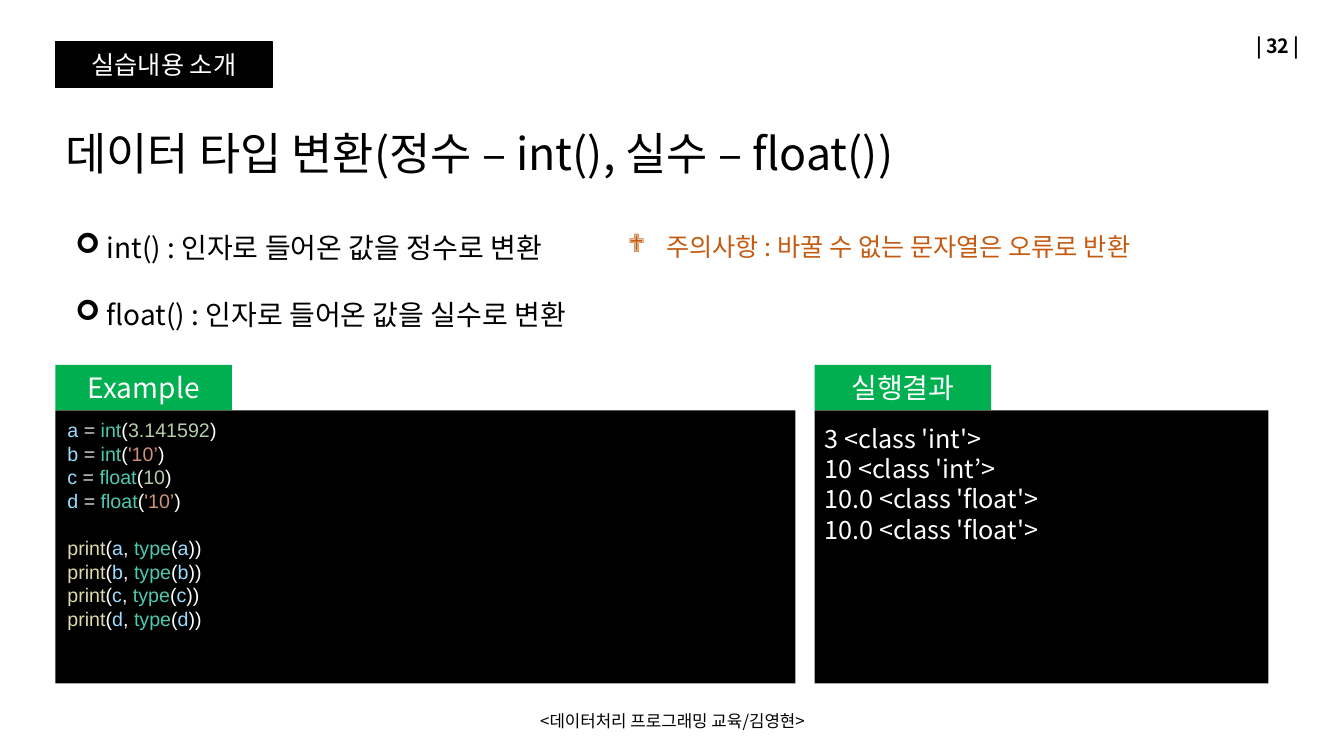
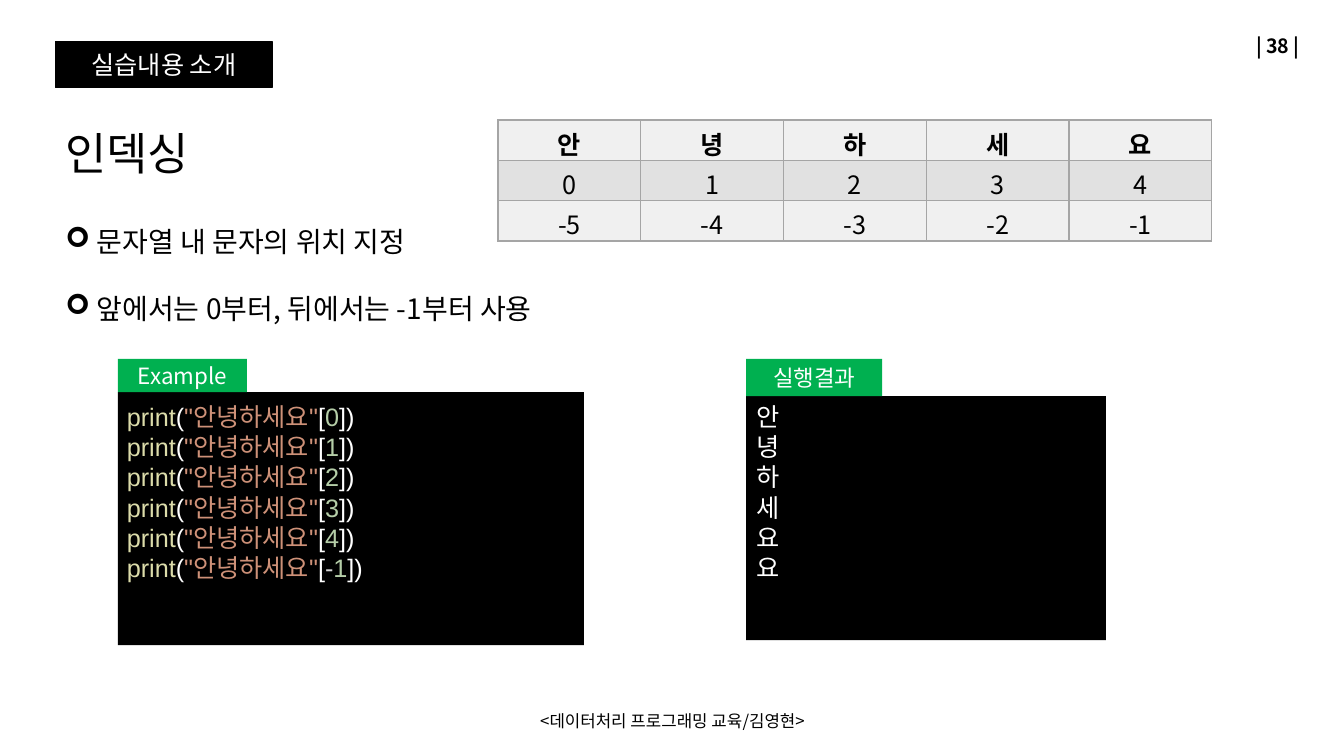
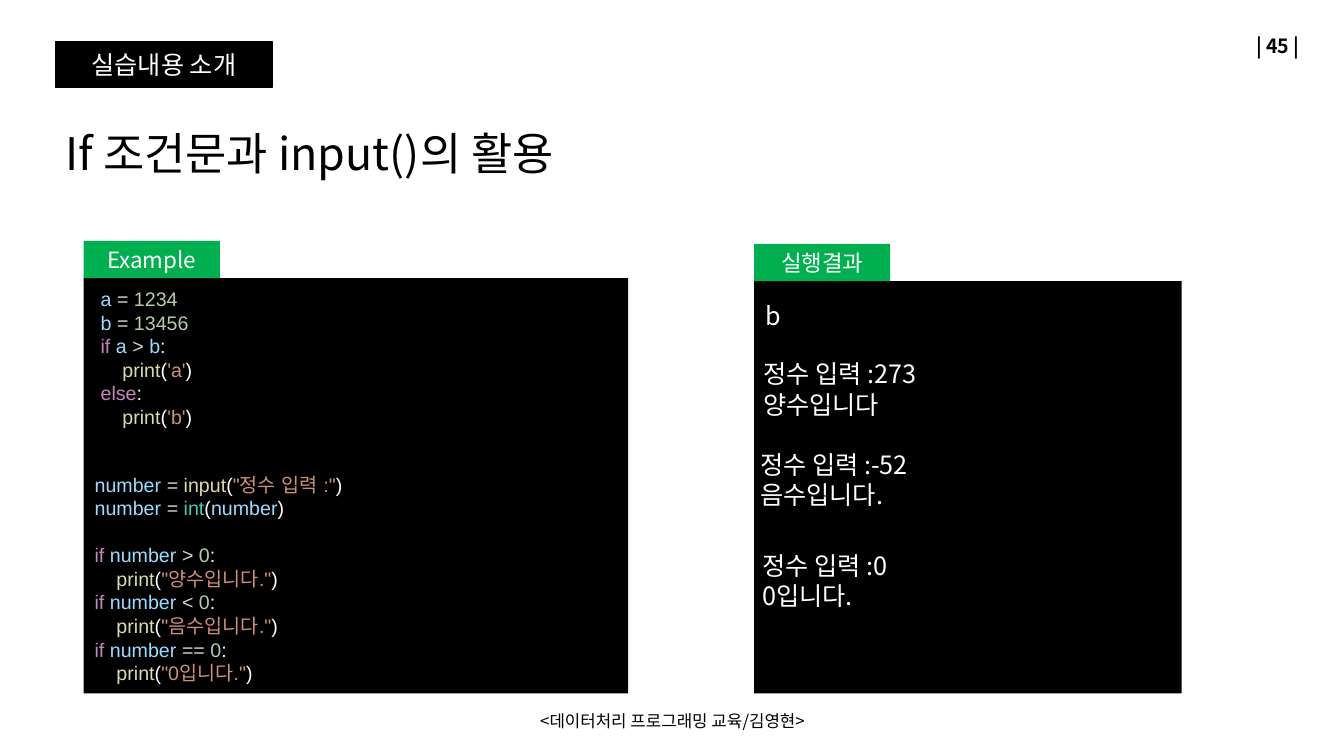
from lxml import etree
from pptx import Presentation
from pptx.dml.color import RGBColor
from pptx.enum.shapes import MSO_SHAPE
from pptx.enum.text import MSO_ANCHOR, PP_ALIGN
from pptx.oxml.ns import qn
from pptx.util import Inches, Pt

RECT = MSO_SHAPE.RECTANGLE
TOP, MIDDLE, BOTTOM = MSO_ANCHOR.TOP, MSO_ANCHOR.MIDDLE, MSO_ANCHOR.BOTTOM
LEFT, CENTER, RIGHT = PP_ALIGN.LEFT, PP_ALIGN.CENTER, PP_ALIGN.RIGHT

SANS, MONO = "Noto Sans CJK KR", "Arial"
BLACK, WHITE, GREEN, RUST = "000000", "FFFFFF", "00B050", "C55A11"
LIGHT, SHADE, GRID = "F0F0F0", "E1E1E1", "A5A5A5"
LEADING = 1.2

# Code colours
NAME, NUMBER, STRING, SIGN = "9CDCFE", "B5CEA8", "CE9178", "D4D4D4"
WORDS = {"print": "DCDCAA", "input": "DCDCAA",
         "int": "4EC9B0", "float": "4EC9B0", "type": "4EC9B0",
         "if": "C586C0", "else": "C586C0"}


def color(value):
    return RGBColor.from_string(value)


def style(font, size, ink, face=SANS, bold=False):
    font.size, font.name, font.bold = Pt(size), face, bold
    font.color.rgb = color(ink)
    props = font._element
    for tag in ("a:ea", "a:cs"):
        etree.SubElement(props, qn(tag)).set("typeface", face)


def bullet(para, mark, indent):
    props = para._p.get_or_add_pPr()
    props.set("marL", str(Inches(indent)))
    props.set("indent", str(-Inches(indent)))
    etree.SubElement(props, qn("a:buFont")).set("typeface", "Wingdings")
    etree.SubElement(props, qn("a:buChar")).set("char", mark)


def label(slide, box, lines, size, ink=BLACK, align=LEFT, anchor=TOP,
          bold=False, mark=None, indent=0):
    frame = slide.shapes.add_textbox(*map(Inches, box)).text_frame
    frame.word_wrap = True
    frame.vertical_anchor = anchor
    frame.text = "\n".join(lines)
    for para in frame.paragraphs:
        para.alignment = align
        if mark:
            para.line_spacing = 2.0
            bullet(para, mark, indent)
        for run in para.runs:
            style(run.font, size, ink, bold=bold)


def block(slide, box, fill, text="", size=18):
    shape = slide.shapes.add_shape(RECT, *map(Inches, box))
    shape.shadow.inherit = False
    shape.fill.solid()
    shape.fill.fore_color.rgb = color(fill)
    shape.line.fill.background()
    if text:
        frame = shape.text_frame
        frame.text = text
        frame.vertical_anchor = MIDDLE
        para = frame.paragraphs[0]
        para.alignment = CENTER
        style(para.runs[0].font, size, WHITE)
    return shape


# Code colouring
def kind(char):
    if char.isalnum() or char in "._":
        return "word"
    return "sign" if char in "=<>-" else "other"


def lex(line):
    """Split a line of code into (text, colour) pairs."""
    start = 0
    while start < len(line):
        first, end = line[start], start + 1
        if first in "'\"":
            while line[end] not in "'\"’":
                end += 1
            end += 1
            ink = STRING
        else:
            group = kind(first)
            while (end < len(line) and kind(line[end]) == group
                   and line[end] not in "'\""):
                end += 1
            word = line[start:end]
            if group == "word":
                ink = NUMBER if first.isdigit() else WORDS.get(word, NAME)
            else:
                ink = SIGN if group == "sign" else WHITE
        while end < len(line) and line[end] == " ":
            end += 1
        yield line[start:end], ink
        start = end


def code(slide, box, source, size):
    frame = slide.shapes.add_textbox(*map(Inches, box)).text_frame
    frame.word_wrap = True
    para, gap = frame.paragraphs[0], 0
    for row, line in enumerate(source.splitlines()):
        if not line:
            gap += size * LEADING
            continue
        if row:
            para = frame.add_paragraph()
        if gap:
            para.space_before, gap = Pt(gap), 0
        for text, ink in lex(line):
            run = para.add_run()
            run.text = text
            style(run.font, size, ink, MONO)


# Regions
def panel(slide, box, tab, title, size):
    """Black screen with a green tab (width, height) on its top left."""
    left, top = box[:2]
    wide, high = tab
    block(slide, box, BLACK)
    block(slide, (left, top - high, wide, high), GREEN, title, size)


def grid(slide, box, rows):
    left, top, wide, high = map(Inches, box)
    frame = slide.shapes.add_table(len(rows), len(rows[0]), left, top, wide, high)
    for y, row in enumerate(rows):
        for x, text in enumerate(row):
            cell = frame.table.cell(y, x)
            cell.text = text
            cell.vertical_anchor = MIDDLE
            para = cell.text_frame.paragraphs[0]
            para.alignment = CENTER
            style(para.runs[0].font, 18, BLACK, bold=y == 0)
            props = cell._tc.get_or_add_tcPr()
            for side in ("a:lnL", "a:lnR", "a:lnT", "a:lnB"):
                edge = etree.SubElement(props, qn(side), w=str(Pt(1)))
                fill = etree.SubElement(edge, qn("a:solidFill"))
                etree.SubElement(fill, qn("a:srgbClr"), val=GRID)
            cell.fill.solid()
            cell.fill.fore_color.rgb = color(SHADE if y % 2 else LIGHT)


def base(deck, number, title):
    """Blank slide with page number, section badge, title and footer."""
    slide = deck.slides.add_slide(deck.slide_layouts[6])
    label(slide, (9.99, 0.25, 3, 0.4), [f"| {number} |"], 14,
          align=RIGHT, anchor=MIDDLE, bold=True)
    badge = block(slide, (0.55, 0.41, 2.15, 0.46), BLACK, "실습내용 소개")
    badge.line.color.rgb = color(BLACK)
    badge.line.width = Pt(1)
    label(slide, (0.55, 1.12, 9.73, 0.71), [title], 32, anchor=BOTTOM)
    label(slide, (4.42, 6.95, 4.5, 0.4), ["<데이터처리 프로그래밍 교육/김영현>"],
          12, align=CENTER, anchor=MIDDLE)
    return slide


# Slides
CAST = """\
a = int(3.141592)
b = int('10’)
c = float(10)
d = float('10’)

print(a, type(a))
print(b, type(b))
print(c, type(c))
print(d, type(d))"""

INDEX = "\n".join(f'print("안녕하세요"[{spot}])' for spot in (0, 1, 2, 3, 4, -1))

BRANCH = """\
a = 1234
b = 13456
if a > b:
    print('a')
else:
    print('b')"""

INPUT = """\
number = input("정수 입력 :")
number = int(number)

if number > 0:
    print("양수입니다.")
if number < 0:
    print("음수입니다.")
if number == 0:
    print("0입니다.")"""


def casting(deck):
    slide = base(deck, 32, "데이터 타입 변환(정수 – int(), 실수 – float())")
    label(slide, (0.65, 1.9, 6.67, 1.97),
          ["int() : 인자로 들어온 값을 정수로 변환",
           "float() : 인자로 들어온 값을 실수로 변환"], 20, mark="➢", indent=0.31)
    label(slide, (6.13, 1.95, 6.67, 0.63),
          ["주의사항 : 바꿀 수 없는 문자열은 오류로 반환"], 18, RUST,
          mark="❖", indent=0.38)
    tab = (1.75, 0.45)
    panel(slide, (0.55, 4.07, 7.34, 2.71), tab, "Example", 20)
    panel(slide, (8.08, 4.07, 4.5, 2.71), tab, "실행결과", 20)
    code(slide, (0.57, 4.1, 6.67, 2.22), CAST, 14)
    label(slide, (8.08, 4.15, 4.21, 1.92),
          ["3 <class 'int'>", "10 <class 'int’>",
           "10.0 <class 'float'>", "10.0 <class 'float'>"], 18, WHITE)


def indexing(deck):
    slide = base(deck, 38, "인덱싱")
    label(slide, (0.55, 1.84, 9.9, 1.36),
          ["문자열 내 문자의 위치 지정", "앞에서는 0부터, 뒤에서는 -1부터 사용"],
          20, mark="➢", indent=0.31)
    panel(slide, (1.17, 3.89, 4.62, 2.51), (1.28, 0.33), "Example", 16)
    panel(slide, (7.4, 3.93, 3.57, 2.42), (1.35, 0.37), "실행결과", 16)
    code(slide, (1.16, 3.93, 4.5, 1.92), INDEX, 18)
    label(slide, (7.41, 3.93, 3.14, 1.92), "안녕하세요요", 18, WHITE)
    word = "안녕하세요"
    count = len(word)
    grid(slide, (4.94, 1.19, 7.08, 1.2),
         [word, [str(n) for n in range(count)],
          [str(n - count) for n in range(count)]])


def branching(deck):
    slide = base(deck, 45, "If 조건문과 input()의 활용")
    tab = (1.35, 0.37)
    panel(slide, (0.83, 2.76, 5.4, 4.12), tab, "Example", 16)
    panel(slide, (7.48, 2.79, 4.24, 4.09), tab, "실행결과", 16)
    code(slide, (0.9, 2.8, 3.57, 1.51), BRANCH, 14)
    code(slide, (0.84, 4.64, 5.11, 2.22), INPUT, 14)
    label(slide, (7.49, 2.93, 2, 0.4), ["b"], 18, WHITE)
    for left, top, lines in (
            (7.47, 3.51, ["정수 입력 :273", "양수입니다"]),
            (7.44, 4.41, ["정수 입력 :-52", "음수입니다."]),
            (7.46, 5.41, ["정수 입력 :0", "0입니다."])):
        label(slide, (left, top, 3.88, 0.71), lines, 18, WHITE)


def main():
    deck = Presentation()
    deck.slide_width, deck.slide_height = Inches(13.33), Inches(7.5)
    for build in (casting, indexing, branching):
        build(deck)
    deck.save("out.pptx")


if __name__ == "__main__":
    main()
